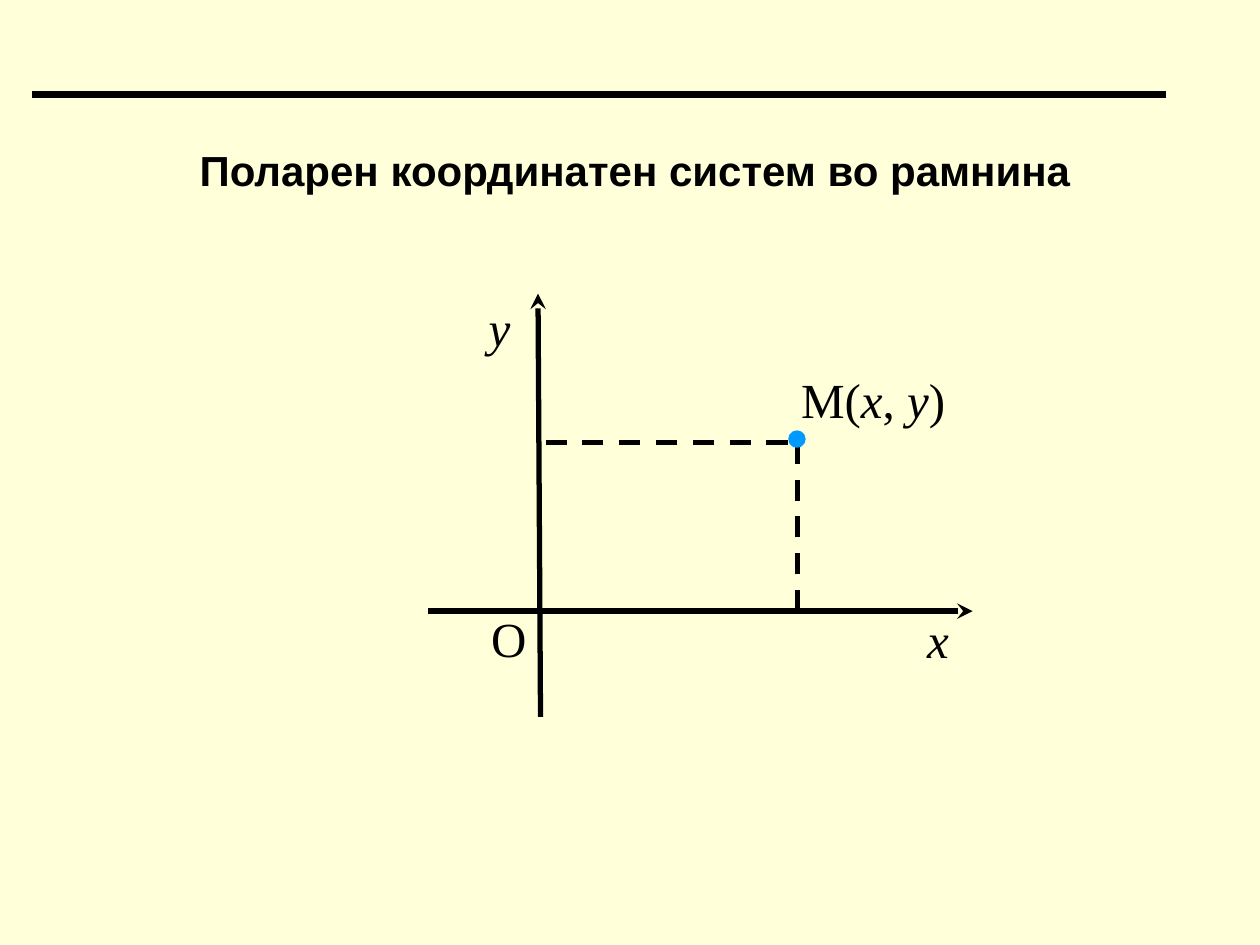
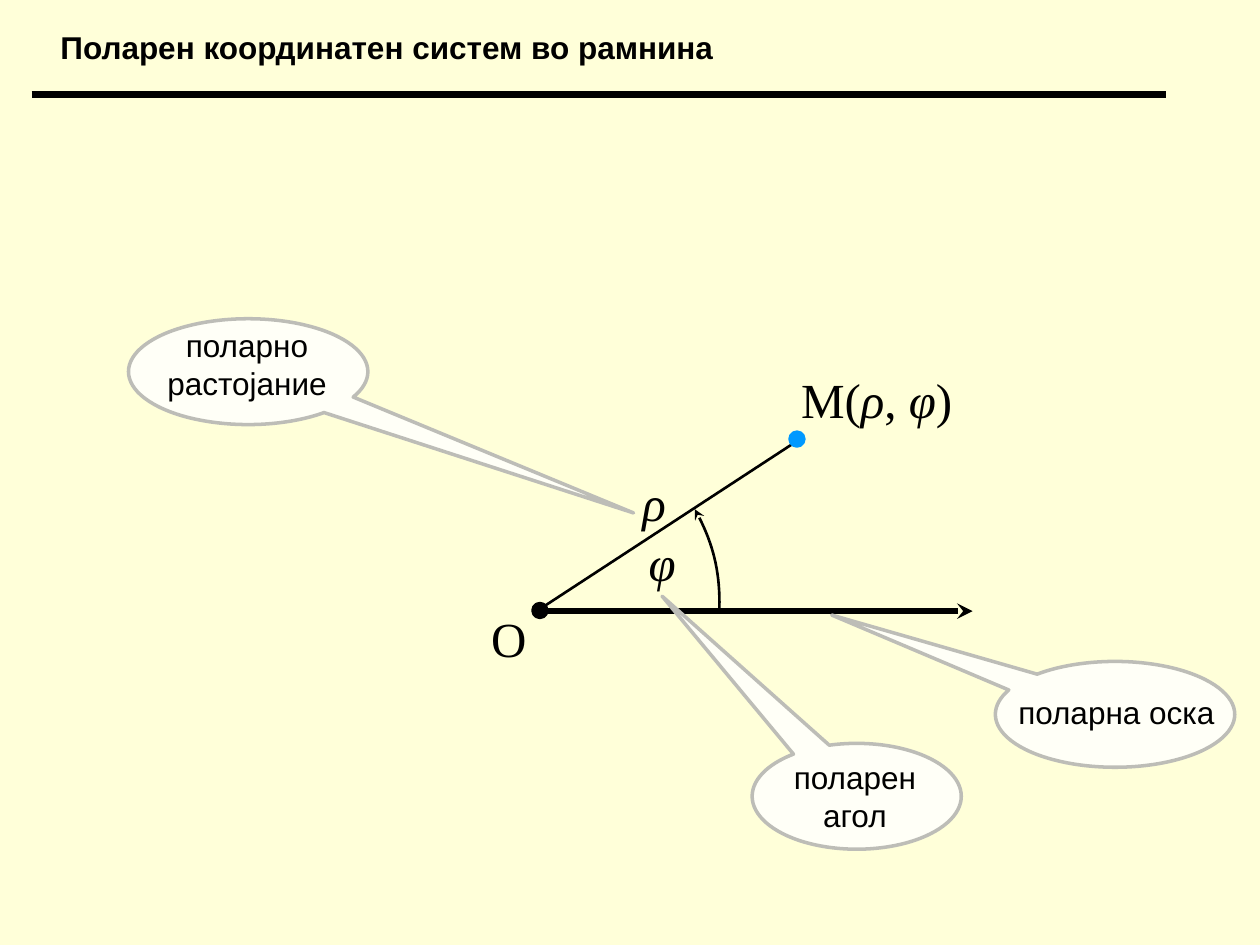
"""Build two slides on Cartesian and polar coordinates in the plane."""
from lxml.etree import SubElement
from pptx import Presentation
from pptx.dml.color import RGBColor
from pptx.enum.dml import MSO_LINE
from pptx.enum.shapes import MSO_CONNECTOR, MSO_SHAPE
from pptx.enum.text import MSO_ANCHOR, MSO_AUTO_SIZE, PP_ALIGN
from pptx.oxml.ns import qn
from pptx.util import Pt

PX = 9144
PAGE = (1000, 750)

BLACK = RGBColor(0x00, 0x00, 0x00)
CREAM = RGBColor(0xFF, 0xFF, 0xD9)
BLUE = RGBColor(0x00, 0x99, 0xFF)
IVORY = RGBColor(0xFF, 0xFF, 0xF7)
GREY = RGBColor(0xBD, 0xBD, 0xB7)

TITLE = "Поларен координатен систем во рамнина"
MATH = {"name": "Times New Roman", "size": Pt(28)}
NOTE = {"name": "Arial", "size": Pt(18)}
HEADING = {"name": "Arial", "bold": True}

RULE = ((25, 75), (925, 75), {"width": 4.5})
AXIS = {"width": 3, "arrow": "tailEnd"}
DASHED = {"width": 3, "dash": MSO_LINE.DASH}
DOT = 11
POINT_M = (627, 343, BLUE)
POLE_O = (423, 479, BLACK)
LABEL_M = (626, 288, 151, 57)
LABEL_O = ((380, 478, 49, 57), [("O", False)])

SLIDES = [
    {
        "title": {"box": (55, 110, 898, 131), "size": 24, "align": PP_ALIGN.CENTER,
                  "indent": 10, "before": 3},
        "lines": [
            ((340, 485), (772, 485), AXIS),
            ((429, 569), (427, 233), AXIS),
            ((633, 485), (633, 348), DASHED),
            ((625, 351), (429, 351), DASHED),
        ],
        "arcs": [],
        "dots": [POINT_M],
        "labels": [
            ((726, 479, 49, 57), [("x", True)]),
            ((378, 231, 49, 57), [("y", True)]),
            (LABEL_M, [("M(", False), ("x", True), (", ", False), ("y", True), (")", False)]),
            LABEL_O,
        ],
        "callouts": [],
    },
    {
        "title": {"box": (-62, 17, 699, 40), "size": 18, "align": PP_ALIGN.LEFT,
                  "indent": 110, "before": 2},
        "lines": [
            ((426, 485), (772, 485), AXIS),
            ((426, 485), (628, 353), {"width": 1.5}),
        ],
        "arcs": [((273, 329, 298, 298), (198.168, 1.698))],
        "dots": [POLE_O, POINT_M],
        "labels": [
            (LABEL_M, [("M(", False), ("ρ", True), (", ", False), ("φ", True), (")", False)]),
            LABEL_O,
            ((505, 418, 42, 57), [("φ", True)]),
            ((500, 370, 39, 57), [("ρ", True)]),
        ],
        "callouts": [
            ((102, 253, 190, 84), (1.61, 1.335), (97, 254, 198, 71), "поларно растојание"),
            ((597, 590, 166, 84), (-0.931, -1.891), (593, 597, 171, 71), "поларен агол"),
            ((790, 525, 190, 84), (-1.184, -0.939), (787, 545, 198, 40), "поларнa oска"),
        ],
    },
]


def emu(lengths):
    return [length * PX for length in lengths]


def add_text(paragraph, text, style):
    run = paragraph.add_run()
    run.text = text
    run.font.color.rgb = BLACK
    for attribute, value in style.items():
        setattr(run.font, attribute, value)


def draw_outline(outlined, width, color=BLACK, dash=None, arrow=None):
    outlined.line.color.rgb = color
    outlined.line.width = Pt(width)
    if dash:
        outlined.line.dash_style = dash
    if arrow:
        SubElement(outlined.get_or_add_ln(), qn(f"a:{arrow}"), type="stealth")


def add_line(slide, start, end, outline):
    line = slide.shapes.add_connector(MSO_CONNECTOR.STRAIGHT, *emu(start + end))
    draw_outline(line, **outline)
    SubElement(line._element.spPr, qn("a:effectLst"))


def add_figure(slide, kind, box, fill, outline, adjustments=()):
    figure = slide.shapes.add_shape(kind, *emu(box))
    figure.shadow.inherit = False
    for index, value in enumerate(adjustments):
        figure.adjustments[index] = value
    if fill is None:
        figure.fill.background()
    else:
        figure.fill.solid()
        figure.fill.fore_color.rgb = fill
    draw_outline(figure, **outline)


def add_label(slide, box, runs, style, align=PP_ALIGN.LEFT):
    frame = slide.shapes.add_textbox(*emu(box)).text_frame
    frame.word_wrap = True
    paragraph = frame.paragraphs[0]
    paragraph.alignment = align
    for text, italic in runs:
        add_text(paragraph, text, {**style, "italic": italic})


def place_title(slide, box, size, align, indent, before):
    title = slide.shapes.title
    for side, length in zip(("left", "top", "width", "height"), emu(box)):
        setattr(title, side, length)
    frame_format = {"vertical_anchor": MSO_ANCHOR.TOP, "auto_size": MSO_AUTO_SIZE.NONE,
                    "word_wrap": True, "margin_left": indent * PX}
    for attribute, value in frame_format.items():
        setattr(title.text_frame, attribute, value)
    paragraph = title.text_frame.paragraphs[0]
    paragraph.alignment = align
    paragraph.space_before = Pt(before)
    add_text(paragraph, TITLE, {**HEADING, "size": Pt(size)})


def build_slide(deck, content):
    slide = deck.slides.add_slide(deck.slide_layouts[5])
    slide.background.fill.solid()
    slide.background.fill.fore_color.rgb = CREAM
    place_title(slide, **content["title"])
    for start, end, outline in [RULE, *content["lines"]]:
        add_line(slide, start, end, outline)
    for box, angles in content["arcs"]:
        add_figure(slide, MSO_SHAPE.ARC, box, None, {"width": 1.5, "arrow": "headEnd"}, angles)
    for left, top, color in content["dots"]:
        add_figure(slide, MSO_SHAPE.OVAL, (left, top, DOT, DOT), color,
                   {"width": 2, "color": color})
    for box, runs in content["labels"]:
        add_label(slide, box, runs, MATH)
    for bubble, pointer, box, text in content["callouts"]:
        add_figure(slide, MSO_SHAPE.OVAL_CALLOUT, bubble, IVORY,
                   {"width": 2, "color": GREY}, pointer)
        add_label(slide, box, [(text, False)], NOTE, PP_ALIGN.CENTER)


def main():
    deck = Presentation()
    deck.slide_width, deck.slide_height = emu(PAGE)
    for content in SLIDES:
        build_slide(deck, content)
    deck.save("out.pptx")


if __name__ == "__main__":
    main()
